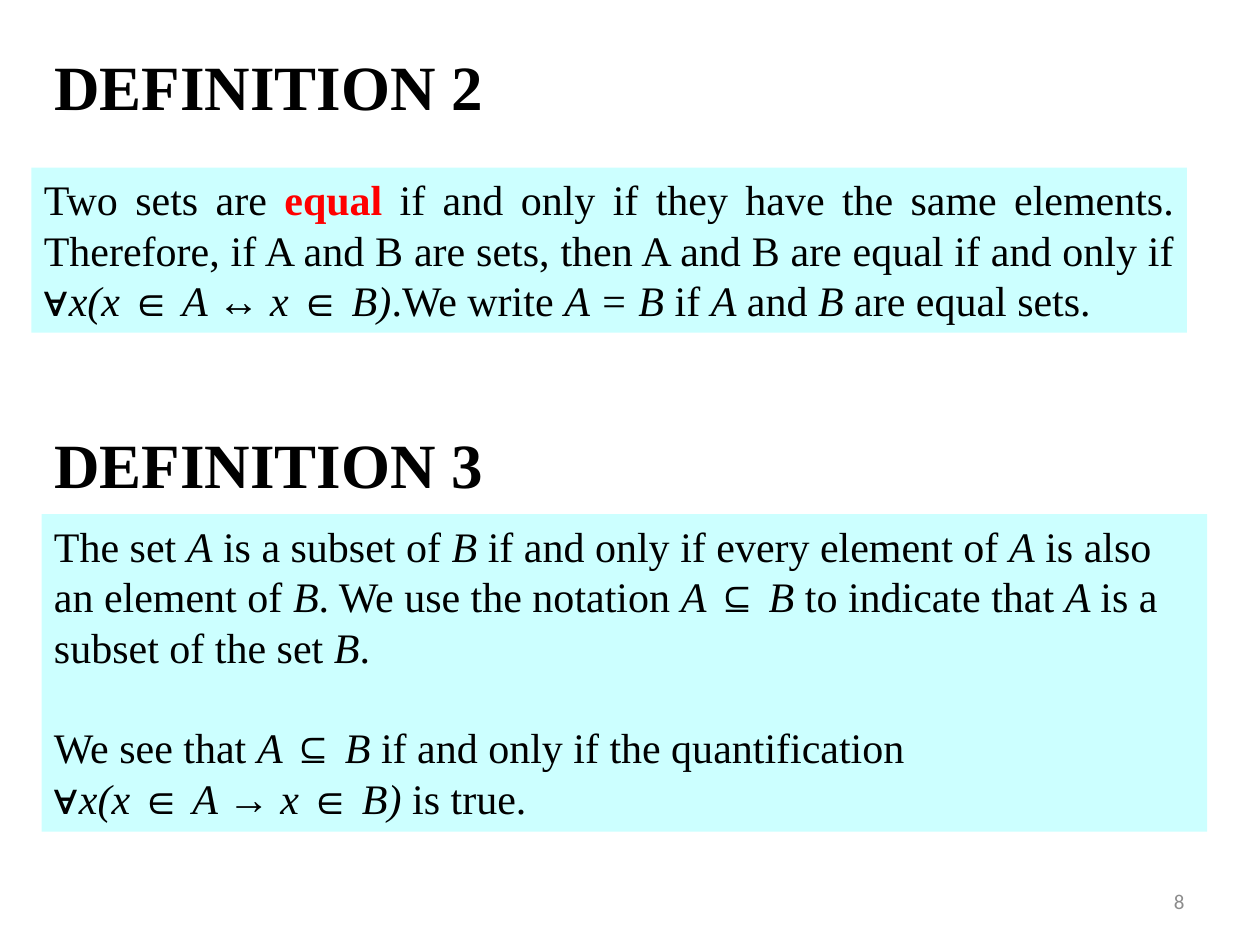
from pptx import Presentation
from pptx.dml.color import RGBColor
from pptx.enum.shapes import MSO_SHAPE
from pptx.enum.text import MSO_ANCHOR, PP_ALIGN
from pptx.util import Inches, Pt

RECTANGLE = MSO_SHAPE.RECTANGLE
TOP, MIDDLE = MSO_ANCHOR.TOP, MSO_ANCHOR.MIDDLE
LEFT, RIGHT, JUSTIFY = PP_ALIGN.LEFT, PP_ALIGN.RIGHT, PP_ALIGN.JUSTIFY
WIDTH, HEIGHT = 10, 7.5
SERIF, SANS = "Times New Roman", "Calibri"
BLACK, RED, GREY, PALE_CYAN = "000000", "FF0000", "8C8C8C", "CCFFFF"
PLAIN, ITALIC, KEY = "plain", "italic", "key"
BODY_SIZE, PARAGRAPH_GAP = 24, 28.8

EQUAL_SETS = [
    [("Two sets are ", PLAIN), ("equal", KEY),
     (" if and only if they have the same elements. Therefore, if A and B are sets, "
      "then A and B are equal if and only if ", PLAIN),
     ("∀x(x ∈ A ↔ x ∈ B)", ITALIC), (".We write ", PLAIN), ("A = B ", ITALIC),
     ("if ", PLAIN), ("A", ITALIC), (" and ", PLAIN), ("B", ITALIC),
     (" are equal sets.", PLAIN)],
]
SUBSETS = [
    [("The set ", PLAIN), ("A", ITALIC), (" is a subset of ", PLAIN), ("B", ITALIC),
     (" if and only if every element of ", PLAIN), ("A", ITALIC),
     (" is also an element of ", PLAIN), ("B", ITALIC),
     (". We use the notation ", PLAIN), ("A ⊆ B ", ITALIC),
     ("to indicate that ", PLAIN), ("A ", ITALIC),
     ("is a subset of the set ", PLAIN), ("B", ITALIC), (".", PLAIN)],
    [("We see that ", PLAIN), ("A ⊆ B ", ITALIC),
     ("if and only if the quantification", PLAIN)],
    [("∀", PLAIN), ("x(x ∈ A → x ∈ B) ", ITALIC), ("is true.", PLAIN)],
]


def color(value):
    """Return the colour for a hex string."""
    return RGBColor.from_string(value)


def place(box):
    """Turn a box in inches into lengths."""
    return [Inches(length) for length in box]


def format_font(font, name, size, value, bold=False, italic=False):
    """Set the typeface, size, colour and style of a font."""
    font.name, font.size = name, Pt(size)
    font.bold, font.italic = bold, italic
    font.color.rgb = color(value)


def add_label(slide, box, text, name, size, value, bold=False, align=LEFT, anchor=TOP):
    """Place a single line of text in a box."""
    text_frame = slide.shapes.add_textbox(*place(box)).text_frame
    text_frame.word_wrap = True
    text_frame.vertical_anchor = anchor
    text_frame.text = text
    paragraph = text_frame.paragraphs[0]
    paragraph.alignment = align
    format_font(paragraph.runs[0].font, name, size, value, bold)


def add_statement(slide, box, paragraphs, align):
    """Place a filled panel holding the wording of a definition."""
    shape = slide.shapes.add_shape(RECTANGLE, *place(box))
    shape.shadow.inherit = False
    shape.fill.solid()
    shape.fill.fore_color.rgb = color(PALE_CYAN)
    shape.line.fill.background()
    text_frame = shape.text_frame
    text_frame.word_wrap = True
    text_frame.vertical_anchor = TOP
    for index, pieces in enumerate(paragraphs):
        paragraph = text_frame.add_paragraph() if index else text_frame.paragraphs[0]
        paragraph.alignment = align
        if index == 1:
            paragraph.space_before = Pt(PARAGRAPH_GAP)
        for text, style in pieces:
            run = paragraph.add_run()
            run.text = text
            value = RED if style == KEY else BLACK
            format_font(run.font, SERIF, BODY_SIZE, value, style == KEY, style == ITALIC)


def add_definition(slide, heading, heading_top, panel, paragraphs, align):
    """Place a heading and the panel that belongs to it."""
    heading_box = (WIDTH / 30, heading_top, 3.67, 0.71)
    add_statement(slide, panel, paragraphs, align)
    add_label(slide, heading_box, heading, SERIF, 36, BLACK, bold=True)


def main():
    """Build the slide with two definitions."""
    presentation = Presentation()
    presentation.slide_width, presentation.slide_height = Inches(WIDTH), Inches(HEIGHT)
    slide = presentation.slides.add_slide(presentation.slide_layouts[6])
    add_definition(slide, "DEFINITION 2", 0.33, (0.25, 1.33, 9.17, 1.31),
                   EQUAL_SETS, JUSTIFY)
    add_definition(slide, "DEFINITION 3", 3.33, (0.33, 4.08, 9.25, 2.52), SUBSETS, LEFT)
    add_label(slide, (7.17, 6.95, 2.33, 0.4), "8", SANS, 12, GREY,
              align=RIGHT, anchor=MIDDLE)
    presentation.save("out.pptx")


if __name__ == "__main__":
    main()
